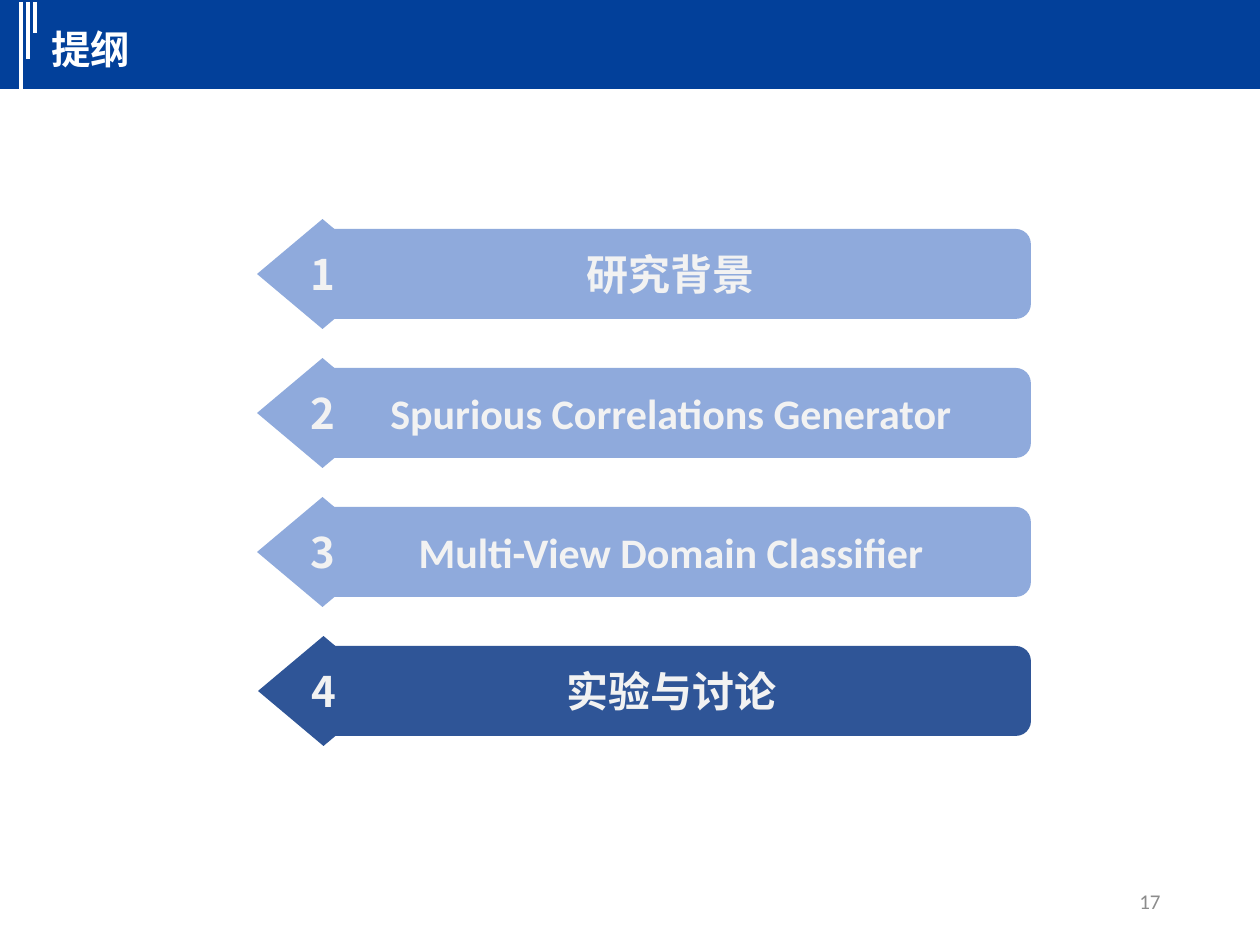
import pptx
import pptx.dml.color
import pptx.enum.shapes
import pptx.enum.text
import pptx.oxml.ns
import pptx.util
from lxml import etree

PX = 914400 / 126
COLORS = {
    "header": "02409A",
    "white": "FFFFFF",
    "inactive": "8FAADC",
    "active": "2F5597",
    "label": "F2F2F2",
    "number": "8C8C8C",
}
LATIN = "Calibri"
CHINESE = "Noto Sans CJK SC"
SHAPE = pptx.enum.shapes.MSO_SHAPE
ALIGN = pptx.enum.text.PP_ALIGN
ANCHOR = pptx.enum.text.MSO_ANCHOR


def emu(*lengths):
    return [pptx.util.Emu(round(length * PX)) for length in lengths]


def rgb(name):
    return pptx.dml.color.RGBColor.from_string(COLORS[name])


class OutlineSlide:
    """Draws styled elements on one slide, measured in px."""

    def __init__(self, presentation):
        self.slide = presentation.slides.add_slide(presentation.slide_layouts[6])

    def fill_text(self, shape, text, size, color, font, align, anchor, bold=True, wrap=True):
        frame = shape.text_frame
        frame.word_wrap = wrap
        frame.vertical_anchor = anchor
        paragraph = frame.paragraphs[0]
        paragraph.alignment = align
        run = paragraph.add_run()
        run.text = text
        run.font.size = pptx.util.Pt(size)
        run.font.bold = bold
        run.font.color.rgb = rgb(color)
        run.font.name = font
        east_asian = etree.SubElement(run.font._element, pptx.oxml.ns.qn("a:ea"))
        east_asian.set("typeface", CHINESE)

    def shape(self, shapes, kind, box, color):
        shape = shapes.add_shape(kind, *emu(*box))
        shape.shadow.inherit = False
        shape.fill.solid()
        shape.fill.fore_color.rgb = rgb(color)
        shape.line.fill.background()
        return shape

    def header(self, box):
        self.shape(self.slide.shapes, SHAPE.RECTANGLE, box, "header")

    def stripe(self, x, top, bottom):
        line = self.slide.shapes.add_connector(
            pptx.enum.shapes.MSO_CONNECTOR.STRAIGHT, *emu(x, top, x, bottom))
        line.line.color.rgb = rgb("white")
        line.line.width = pptx.util.Pt(2.25)
        etree.SubElement(line._element.spPr, pptx.oxml.ns.qn("a:effectLst"))

    def text(self, box, text, size, color, font, align, anchor, bold):
        textbox = self.slide.shapes.add_textbox(*emu(*box))
        self.fill_text(textbox, text, size, color, font, align, anchor, bold)

    def agenda_item(self, number, title, left, top, color):
        right = 1031
        bar_left = left + 54
        shapes = self.slide.shapes.add_group_shape().shapes
        bar = self.shape(shapes, SHAPE.ROUNDED_RECTANGLE,
                         (bar_left, top + 10, right - bar_left, 90), color)
        diamond = self.shape(shapes, SHAPE.DIAMOND, (left, top, 131, 110), color)
        for shape, text, font in ((bar, title, LATIN), (diamond, str(number), CHINESE)):
            self.fill_text(shape, text, 24, "label", font, ALIGN.CENTER, ANCHOR.MIDDLE, wrap=False)


def main():
    presentation = pptx.Presentation()
    presentation.slide_width, presentation.slide_height = emu(1260, 945)
    outline = OutlineSlide(presentation)

    titles = ["研究背景", "Spurious Correlations Generator",
              "Multi-View Domain Classifier", "实验与讨论"]
    current = 4
    for number, title in enumerate(titles, 1):
        active = number == current
        outline.agenda_item(number, title, 258 if active else 257,
                            219 + 139 * (number - 1), "active" if active else "inactive")

    outline.text((890, 876, 283, 50), "17", 12, "number", LATIN,
                 ALIGN.RIGHT, ANCHOR.MIDDLE, False)
    outline.header((0, 0, 1260, 89))
    for x, bottom in ((21, 89), (28, 59), (35, 33)):
        outline.stripe(x, 2, bottom)
    outline.text((39, 19, 968, 60), "提纲", 22.5, "white", CHINESE,
                 ALIGN.LEFT, ANCHOR.TOP, True)
    presentation.save("out.pptx")


if __name__ == "__main__":
    main()
